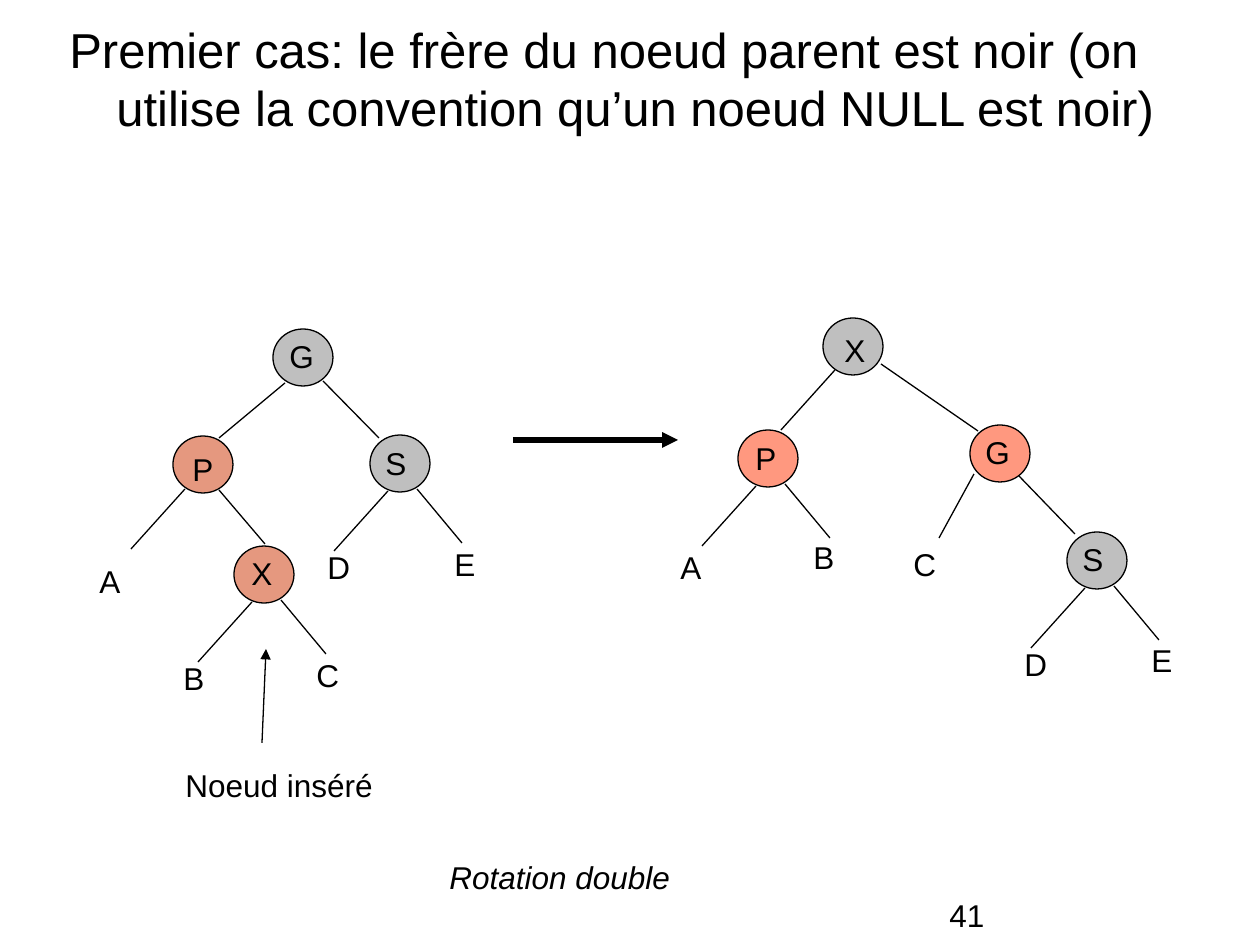
from lxml import etree
from pptx import Presentation
from pptx.dml.color import RGBColor
from pptx.enum.shapes import MSO_CONNECTOR, MSO_SHAPE
from pptx.enum.text import MSO_ANCHOR, MSO_AUTO_SIZE, PP_ALIGN
from pptx.oxml.ns import qn
from pptx.util import Pt

STRAIGHT = MSO_CONNECTOR.STRAIGHT
ELLIPSE = MSO_SHAPE.OVAL
TOP = MSO_ANCHOR.TOP
LEFT = PP_ALIGN.LEFT
NO_RESIZE = MSO_AUTO_SIZE.NONE

EMU_PER_PX = 914400 / 126
NODE_WIDTH, NODE_HEIGHT = 60, 57
LABEL_HEIGHT = 50
COLORS = {
    "black": "000000",
    "gray": "808080",
    "dark red": "CC3300",
    "red": "FF3300",
}

# letter, colour, node left and top, letter box left and top
NODES = [
    ("G", "gray", 273, 329, 277, 331),
    ("P", "dark red", 173, 436, 180, 444),
    ("X", "dark red", 234, 546, 239, 548),
    ("S", "gray", 370, 435, 373, 438),
    ("X", "gray", 823, 318, 832, 325),
    ("P", "red", 738, 430, 743, 433),
    ("G", "red", 970, 425, 973, 427),
    ("S", "gray", 1067, 532, 1070, 534),
]
# left and top of the nodes whose two children are both subtrees
FORKED_NODES = [(234, 546), (370, 435), (738, 430), (1067, 532)]
EDGES = [
    (285, 383, 219, 438), (323, 381, 379, 438),
    (185, 489, 131, 549), (219, 490, 265, 544),
    (835, 370, 781, 430), (881, 364, 978, 431),
    (974, 474, 939, 538), (1019, 476, 1075, 534),
]
SUBTREES = [
    ("A", 87, 556), ("B", 171, 653), ("C", 304, 650), ("D", 315, 542), ("E", 442, 539),
    ("A", 668, 542), ("B", 801, 532), ("C", 901, 539), ("D", 1012, 639), ("E", 1139, 635),
]


def px(length):
    return round(length * EMU_PER_PX)


def rgb(name):
    return RGBColor.from_string(COLORS[name])


def add_text(slide, text, left, top, width, height=LABEL_HEIGHT, size=18,
             italic=False, wrap=False, hanging=0):
    box = slide.shapes.add_textbox(px(left), px(top), px(width), px(height))
    frame = box.text_frame
    frame.word_wrap = wrap
    frame.auto_size = NO_RESIZE
    frame.vertical_anchor = TOP
    para = frame.paragraphs[0]
    para.alignment = LEFT
    if hanging:
        properties = para._p.get_or_add_pPr()
        properties.set("marL", str(px(hanging)))
        properties.set("indent", str(-px(hanging)))
    span = para.add_run()
    span.text = text
    span.font.name = "Arial"
    span.font.size = Pt(size)
    span.font.italic = italic
    span.font.color.rgb = rgb("black")


def add_letter(slide, letter, left, top):
    add_text(slide, letter, left, top, 49 if letter in "CDG" else 45)


def add_line(slide, x1, y1, x2, y2, weight=0.75, arrow=False):
    line = slide.shapes.add_connector(STRAIGHT, px(x1), px(y1), px(x2), px(y2))
    line.line.color.rgb = rgb("black")
    line.line.width = Pt(weight)
    if arrow:
        etree.SubElement(line.line._get_or_add_ln(), qn("a:tailEnd"), type="triangle")
    etree.SubElement(line._element.spPr, qn("a:effectLst"))


def add_fork(slide, left, top):
    """Draw the two branches below the node at this place."""
    add_line(slide, left + 18, top + 56, left - 36, top + 116)
    add_line(slide, left + 47, top + 54, left + 92, top + 108)


def add_node(slide, letter, color, left, top, letter_left, letter_top):
    node = slide.shapes.add_shape(
        ELLIPSE, px(left), px(top), px(NODE_WIDTH), px(NODE_HEIGHT))
    node.shadow.inherit = False
    node.fill.solid()
    node.fill.fore_color.rgb = rgb(color)
    fill_color = node._element.spPr.find(qn("a:solidFill"))[0]
    etree.SubElement(fill_color, qn("a:alpha"), val="50000")
    node.line.color.rgb = rgb("black")
    node.line.width = Pt(0.75)
    add_letter(slide, letter, letter_left, letter_top)


def main():
    deck = Presentation()
    deck.slide_width, deck.slide_height = px(1260), px(945)
    slide = deck.slides.add_slide(deck.slide_layouts[6])

    add_text(slide, "Premier cas: le frère du noeud parent est noir "
             "(on utilise la convention qu’un noeud NULL est noir)",
             57, 13, 1152, 190, size=28, wrap=True, hanging=47)
    for edge in EDGES:
        add_line(slide, *edge)
    for place in FORKED_NODES:
        add_fork(slide, *place)
    for node in NODES:
        add_node(slide, *node)
    for subtree in SUBTREES:
        add_letter(slide, *subtree)

    add_line(slide, 262, 743, 266, 649, arrow=True)
    add_line(slide, 513, 440, 678, 440, weight=3, arrow=True)
    add_text(slide, "Noeud inséré", 173, 760, 212)
    add_text(slide, "Rotation double", 437, 852, 246, italic=True)
    add_text(slide, "41", 937, 890, 297, 35, wrap=True)
    deck.save("out.pptx")


if __name__ == "__main__":
    main()
